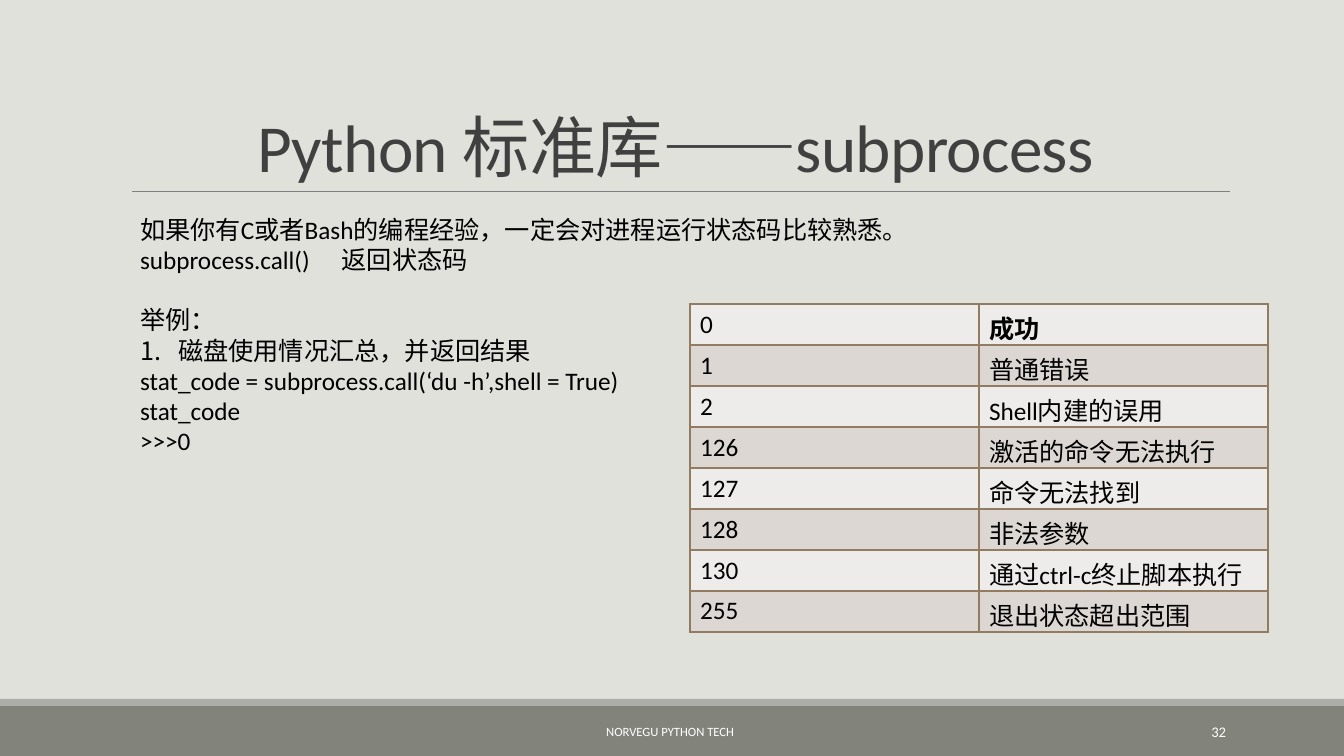
"""Build the slide on subprocess status codes and save it as out.pptx."""
from dataclasses import dataclass

import lxml.etree
import pptx
import pptx.dml.color
import pptx.enum.shapes
import pptx.enum.text
import pptx.oxml.ns
import pptx.util

PX_PER_INCH = 100.8
ALIGN = pptx.enum.text.PP_ALIGN
ANCHOR = pptx.enum.text.MSO_ANCHOR


@dataclass(frozen=True)
class Theme:
    font: str = "Calibri"
    backdrop: str = "E1E1DB"
    footer: str = "82847C"
    footer_edge: str = "ACADA8"
    rule: str = "808080"
    title: str = "404040"
    text: str = "000000"
    footer_text: str = "FFFFFF"
    border: str = "927C61"
    row_fills: tuple[str, str] = ("EEECEA", "DCD7D2")
    title_size: float = 48
    text_size: float = 18
    footer_size: float = 9
    number_size: float = 10.5
    border_width: float = 1
    rule_width: float = 0.5


@dataclass(frozen=True)
class Box:
    left: int
    top: int
    width: int
    height: int


@dataclass(frozen=True)
class Band:
    box: Box
    fill: str


@dataclass(frozen=True)
class FooterNote:
    box: Box
    text: str
    size: float
    align: ALIGN


@dataclass(frozen=True)
class Line:
    text: str
    gap_before: float = 0
    numbered: bool = False
    tab: int = 0


@dataclass(frozen=True)
class StatusCode:
    code: str
    meaning: str
    bold: bool = False


THEME = Theme()
BANDS = [
    Band(Box(0, 706, 1344, 50), THEME.footer),
    Band(Box(0, 699, 1344, 7), THEME.footer_edge),
]
FOOTER_NOTES = [
    FooterNote(Box(406, 712, 531, 40), "NORVEGU PYTHON TECH ", THEME.footer_size, ALIGN.CENTER),
    FooterNote(Box(1092, 712, 144, 40), "32", THEME.number_size, ALIGN.RIGHT),
]
LINES = [
    Line("如果你有C或者Bash的编程经验，一定会对进程运行状态码比较熟悉。"),
    Line("subprocess.call()\t返回状态码", tab=210),
    Line("举例：", gap_before=21.6),
    Line("磁盘使用情况汇总，并返回结果", numbered=True),
    Line("stat_code = subprocess.call(‘du -h’,shell = True)"),
    Line("stat_code"),
    Line(">>>0"),
]
STATUS_CODES = [
    StatusCode("0", "成功", bold=True),
    StatusCode("1", "普通错误"),
    StatusCode("2", "Shell内建的误用"),
    StatusCode("126", "激活的命令无法执行"),
    StatusCode("127", "命令无法找到"),
    StatusCode("128", "非法参数"),
    StatusCode("130", "通过ctrl-c终止脚本执行"),
    StatusCode("255", "退出状态超出范围"),
]


def px(length: int) -> int:
    return round(length * pptx.util.Inches(1) / PX_PER_INCH)


def frame(box: Box) -> tuple[int, int, int, int]:
    return px(box.left), px(box.top), px(box.width), px(box.height)


def rgb(colour: str) -> pptx.dml.color.RGBColor:
    return pptx.dml.color.RGBColor.from_string(colour)


def add_child(parent, tag: str, **attributes: str):
    return lxml.etree.SubElement(parent, pptx.oxml.ns.qn(tag), attributes)


def add_run(paragraph, text: str, size: float, colour: str, bold: bool = False):
    run = paragraph.add_run()
    run.text = text
    run.font.name = THEME.font
    run.font.size = pptx.util.Pt(size)
    run.font.color.rgb = rgb(colour)
    run.font.bold = bold
    return run


def place(placeholder, box: Box, anchor: ANCHOR):
    placeholder.left, placeholder.top, placeholder.width, placeholder.height = frame(box)
    content = placeholder.text_frame
    content.auto_size = pptx.enum.text.MSO_AUTO_SIZE.NONE
    content.word_wrap = True
    content.vertical_anchor = anchor
    return content


def draw_band(slide, band: Band) -> None:
    strip = slide.shapes.add_shape(pptx.enum.shapes.MSO_SHAPE.RECTANGLE, *frame(band.box))
    strip.shadow.inherit = False
    strip.fill.solid()
    strip.fill.fore_color.rgb = rgb(band.fill)
    strip.line.fill.background()


def draw_rule(slide, left: int, right: int, top: int) -> None:
    rule = slide.shapes.add_connector(
        pptx.enum.shapes.MSO_CONNECTOR.STRAIGHT, px(left), px(top), px(right), px(top)
    )
    rule.line.color.rgb = rgb(THEME.rule)
    rule.line.width = pptx.util.Pt(THEME.rule_width)
    add_child(rule.element.spPr, "a:effectLst")


def draw_footer_note(slide, note: FooterNote) -> None:
    content = slide.shapes.add_textbox(*frame(note.box)).text_frame
    content.word_wrap = True
    content.vertical_anchor = ANCHOR.MIDDLE
    paragraph = content.paragraphs[0]
    paragraph.alignment = note.align
    add_run(paragraph, note.text, note.size, THEME.footer_text)


def write_title(slide, text: str) -> None:
    paragraph = place(slide.shapes.title, Box(121, 31, 1109, 160), ANCHOR.BOTTOM).paragraphs[0]
    paragraph.alignment = ALIGN.CENTER
    paragraph.line_spacing = 0.85
    run = add_run(paragraph, text, THEME.title_size, THEME.title)
    run.font._element.set("spc", "-50")


def write_line(paragraph, line: Line) -> None:
    paragraph.alignment = ALIGN.LEFT
    paragraph.space_before = pptx.util.Pt(line.gap_before)
    indent = px(38) if line.numbered else 0
    properties = paragraph._p.get_or_add_pPr()
    properties.set("marL", str(indent))
    properties.set("indent", str(-indent))
    if line.numbered:
        add_child(properties, "a:buFont", typeface=THEME.font)
        add_child(properties, "a:buAutoNum", type="arabicPeriod")
    else:
        add_child(properties, "a:buNone")
    if line.tab:
        stops = add_child(properties, "a:tabLst")
        add_child(stops, "a:tab", pos=str(px(line.tab)), algn="l")
    add_run(paragraph, line.text, THEME.text_size, THEME.text)


def write_body(slide, lines: list[Line]) -> None:
    content = place(slide.placeholders[1], Box(130, 209, 817, 315), ANCHOR.TOP)
    for index, line in enumerate(lines):
        write_line(content.add_paragraph() if index else content.paragraphs[0], line)


def fill_cell(cell, text: str, fill: str, bold: bool) -> None:
    properties = cell._tc.get_or_add_tcPr()
    for side in ("a:lnL", "a:lnR", "a:lnT", "a:lnB"):
        edge = add_child(properties, side, w=str(pptx.util.Pt(THEME.border_width)))
        add_child(add_child(edge, "a:solidFill"), "a:srgbClr", val=THEME.border)
    cell.fill.solid()
    cell.fill.fore_color.rgb = rgb(fill)
    add_run(cell.text_frame.paragraphs[0], text, THEME.text_size, THEME.text, bold)


def draw_status_table(slide, codes: list[StatusCode]) -> None:
    box = Box(690, 304, 578, 41 * len(codes))
    table = slide.shapes.add_table(len(codes), 2, *frame(box)).table
    table.first_row = False
    table.horz_banding = False
    for index, status in enumerate(codes):
        fill = THEME.row_fills[index % 2]
        fill_cell(table.cell(index, 0), status.code, fill, False)
        fill_cell(table.cell(index, 1), status.meaning, fill, status.bold)


def main() -> None:
    deck = pptx.Presentation()
    deck.slide_width, deck.slide_height = px(1344), px(756)
    slide = deck.slides.add_slide(deck.slide_layouts[1])
    slide.background.fill.solid()
    slide.background.fill.fore_color.rgb = rgb(THEME.backdrop)
    for band in BANDS:
        draw_band(slide, band)
    draw_rule(slide, 132, 1230, 191)
    for note in FOOTER_NOTES:
        draw_footer_note(slide, note)
    write_title(slide, "Python 标准库——subprocess")
    write_body(slide, LINES)
    draw_status_table(slide, STATUS_CODES)
    deck.save("out.pptx")


if __name__ == "__main__":
    main()
